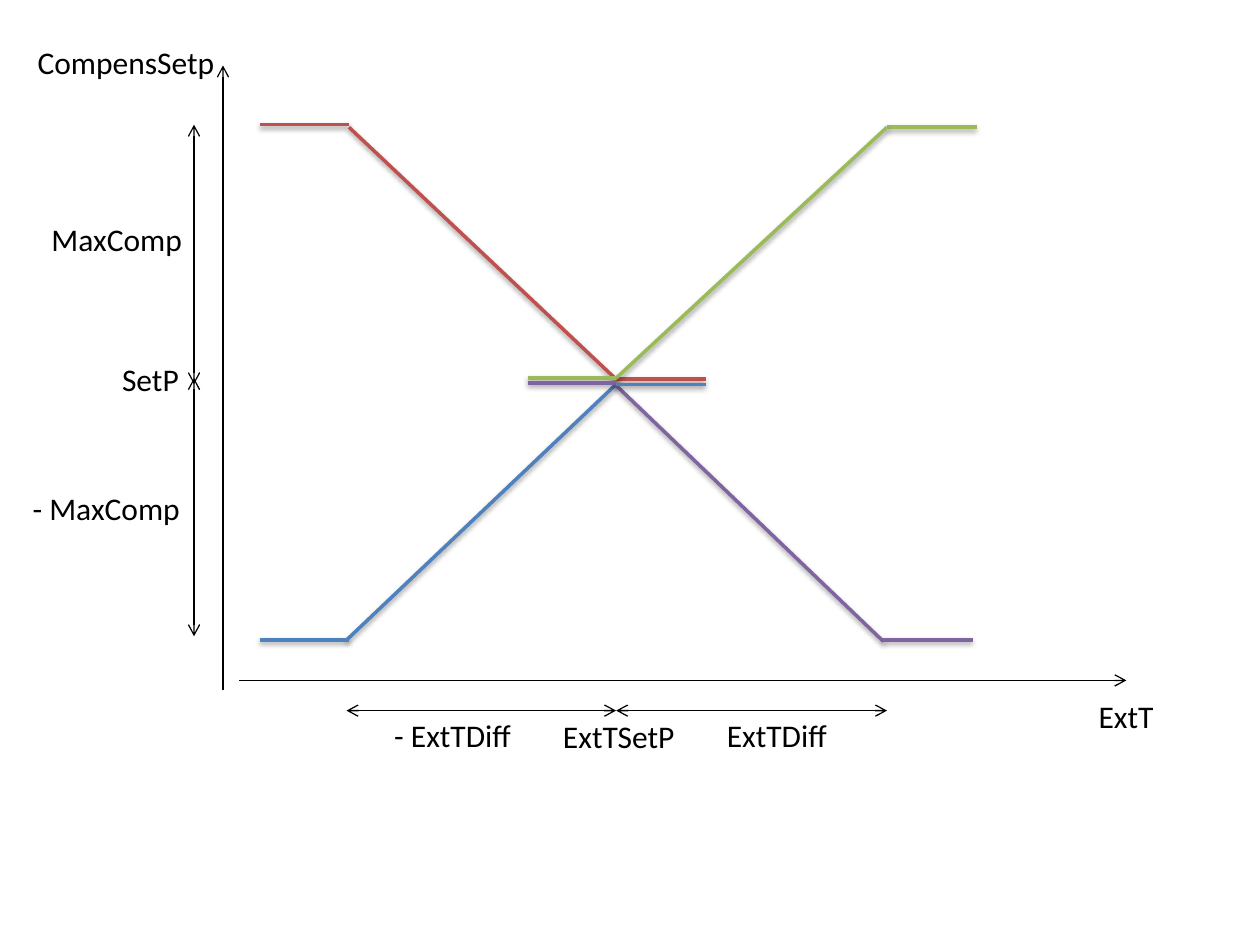
from pptx import Presentation
from pptx.dml.color import RGBColor
from pptx.enum.shapes import MSO_CONNECTOR
from pptx.oxml import parse_xml
from pptx.oxml.ns import nsdecls
from pptx.oxml.xmlchemy import OxmlElement
from pptx.util import Inches, Pt

BLACK = RGBColor(0x00, 0x00, 0x00)
RED = RGBColor(0xC0, 0x50, 0x4D)
GREEN = RGBColor(0x9B, 0xBB, 0x59)
BLUE = RGBColor(0x4F, 0x81, 0xBD)
PURPLE = RGBColor(0x80, 0x64, 0xA2)

SHADOW = (
    f'<a:effectLst {nsdecls("a")}>'
    f'<a:outerShdw blurRad="{Pt(3.1)}" dist="{Pt(1.6)}" dir="5400000" rotWithShape="0">'
    '<a:srgbClr val="000000"><a:alpha val="38000"/></a:srgbClr>'
    '</a:outerShdw></a:effectLst>'
)
NO_SHADOW = f'<a:effectLst {nsdecls("a")}/>'

prs = Presentation()
prs.slide_width, prs.slide_height = Inches(10), Inches(7.5)
s = prs.slides.add_slide(prs.slide_layouts[6])


def add_line(start, end, color=BLACK, width=0.75, arrows=(), effect=NO_SHADOW):
    points = [Inches(v) for v in (*start, *end)]
    line = s.shapes.add_connector(MSO_CONNECTOR.STRAIGHT, *points)
    line.line.color.rgb = color
    line.line.width = Pt(width)
    for end_tag in arrows:
        arrow = OxmlElement(end_tag)
        arrow.set("type", "arrow")
        line.line._get_or_add_ln().append(arrow)
    line._element.spPr.append(parse_xml(effect))


# Axes
for start, end in [((1.77, 5.48), (1.77, 0.52)), ((1.9, 5.4), (8.94, 5.4))]:
    add_line(start, end, arrows=["a:tailEnd"])

# Compensation curves, from back to front
segments = [
    (RED, (2.06, 0.99), (2.77, 0.99)),
    (RED, (2.77, 1.01), (4.89, 3.01)),
    (RED, (4.89, 3.01), (5.6, 3.01)),
    (GREEN, (7.04, 1.01), (7.75, 1.01)),
    (GREEN, (7.04, 1.01), (4.88, 3.01)),
    (GREEN, (4.19, 3.0), (4.89, 3.0)),
    (BLUE, (4.89, 3.05), (2.75, 5.08)),
    (PURPLE, (4.88, 3.05), (7.01, 5.09)),
    (PURPLE, (7.01, 5.08), (7.72, 5.08)),
    (BLUE, (2.06, 5.08), (2.77, 5.08)),
    (PURPLE, (4.19, 3.04), (4.89, 3.04)),
    (BLUE, (4.89, 3.05), (5.6, 3.05)),
]
for color, start, end in segments:
    add_line(start, end, color, width=2, effect=SHADOW)

# Dimension arrows
dimensions = [
    ((1.54, 3.05), (1.54, 0.99)),
    ((1.54, 5.05), (1.54, 3.0)),
    ((2.75, 5.64), (4.89, 5.64)),
    ((4.89, 5.64), (7.04, 5.64)),
]
for start, end in dimensions:
    add_line(start, end, arrows=["a:headEnd", "a:tailEnd"])

# Labels: text, left, top, width
labels = [
    ("CompensSetp", 0.2, 0.29, 1.69),
    ("MaxComp", 0.31, 1.7, 1.38),
    ("- MaxComp", 0.16, 3.83, 1.38),
    ("- ExtTDiff", 3.03, 5.63, 1.38),
    ("ExtTDiff", 5.67, 5.63, 1.38),
    ("ExtT", 8.62, 5.48, 0.69),
    ("SetP", 0.87, 2.81, 1.38),
    ("ExtTSetP", 4.37, 5.64, 1.13),
]
for text, left, top, width in labels:
    sp = s.shapes.add_textbox(Inches(left), Inches(top), Inches(width), Inches(0.4))
    tf = sp.text_frame
    tf.word_wrap = True
    r = tf.paragraphs[0].add_run()
    r.text = text
    r.font.name = "Calibri"
    r.font.size = Pt(18)
    r.font.color.rgb = BLACK

prs.save("out.pptx")
